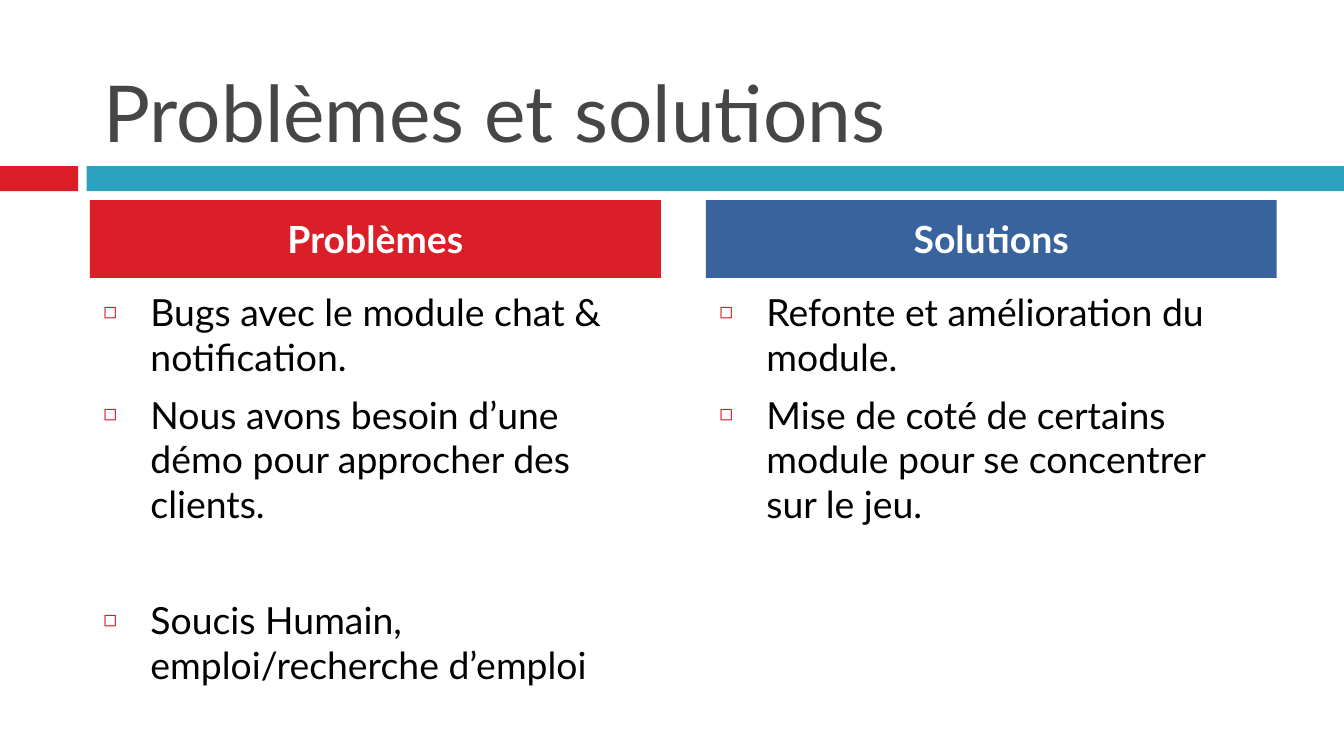
from dataclasses import dataclass

from lxml import etree
from pptx import Presentation
from pptx.dml.color import RGBColor
from pptx.enum.shapes import MSO_SHAPE
from pptx.enum.text import MSO_ANCHOR, MSO_AUTO_SIZE, PP_ALIGN
from pptx.oxml.ns import qn
from pptx.util import Cm, Pt

RECT = MSO_SHAPE.RECTANGLE
TOP, MIDDLE, BOTTOM = MSO_ANCHOR.TOP, MSO_ANCHOR.MIDDLE, MSO_ANCHOR.BOTTOM
LEFT, CENTER = PP_ALIGN.LEFT, PP_ALIGN.CENTER
COMPARISON = 4


@dataclass(frozen=True)
class Theme:
    font: str = "Lato"
    title_size: int = 42
    text_size: int = 20
    space: int = 7
    wide_space: int = 38
    red: str = "DA1F28"
    teal: str = "2DA2BF"
    blue: str = "39639D"
    grey: str = "464646"
    black: str = "000000"
    white: str = "FFFFFF"


theme = Theme()


def write(sp, box, lines, size, color, anchor, align=LEFT, bold=False):
    """Place a placeholder and fill it with (text, space before) lines."""
    sp.left, sp.top, sp.width, sp.height = (Cm(v) for v in box)
    tf = sp.text_frame
    tf.word_wrap = True
    tf.auto_size = MSO_AUTO_SIZE.NONE
    tf.vertical_anchor = anchor
    for i, (text, space) in enumerate(lines):
        p = tf.paragraphs[0] if i == 0 else tf.add_paragraph()
        p.alignment = align
        p.line_spacing = 1.0
        p.space_before = Pt(space)
        r = p.add_run()
        r.text = text
        r.font.name = theme.font
        r.font.size = Pt(size)
        r.font.bold = bold
        r.font.color.rgb = RGBColor.from_string(color)


def set_bullet(p, indent):
    """Give a paragraph a small red square and a hanging indent."""
    pPr = p._p.get_or_add_pPr()
    pPr.set("marL", str(indent))
    pPr.set("indent", str(-indent))
    clr = etree.SubElement(pPr, qn("a:buClr"))
    etree.SubElement(clr, qn("a:srgbClr"), val=theme.red)
    etree.SubElement(pPr, qn("a:buSzPct"), val="60000")
    etree.SubElement(pPr, qn("a:buChar"), char="◻")


prs = Presentation()
prs.slide_width, prs.slide_height = Cm(25.4), Cm(14.28)
s = prs.slides.add_slide(prs.slide_layouts[COMPARISON])
holders = {sp.placeholder_format.idx: sp for sp in s.placeholders}

# Two-coloured band under the title
for left, width, color in [(0, 1.48, theme.red), (1.64, 23.76, theme.teal)]:
    band = s.shapes.add_shape(RECT, Cm(left), Cm(3.14), Cm(width), Cm(0.47))
    band.shadow.inherit = False
    band.fill.solid()
    band.fill.fore_color.rgb = RGBColor.from_string(color)
    band.line.fill.background()

write(holders[0], (1.7, 0.33, 22.66, 2.79), [("Problèmes et solutions", 0)],
      theme.title_size, theme.grey, BOTTOM)

# Columns: heading, heading fill, list items with the space before each
columns = [
    ("Problèmes", theme.red, [
        ("Bugs avec le module chat & notification.", theme.space),
        ("Nous avons besoin d’une démo pour approcher des clients.", theme.space),
        ("Soucis Humain, emploi/recherche d’emploi", theme.wide_space),
    ]),
    ("Solutions", theme.blue, [
        ("Refonte et amélioration du module.", theme.space),
        ("Mise de coté de certains module pour se concentrer sur le jeu.", theme.space),
    ]),
]
col_left, col_width, col_gap = 1.7, 10.79, 0.85

for i, (heading, color, items) in enumerate(columns):
    left = col_left + i * (col_width + col_gap)
    head, body = holders[1 + 2 * i], holders[2 + 2 * i]

    write(head, (left, 3.78, col_width, 1.47), [(heading, theme.space)],
          theme.text_size, theme.white, MIDDLE, CENTER, True)
    head.fill.solid()
    head.fill.fore_color.rgb = RGBColor.from_string(color)

    write(body, (left, 5.33, col_width, 7.32), items,
          theme.text_size, theme.black, TOP)
    for p in body.text_frame.paragraphs:
        set_bullet(p, Cm(0.89))

prs.save("out.pptx")
